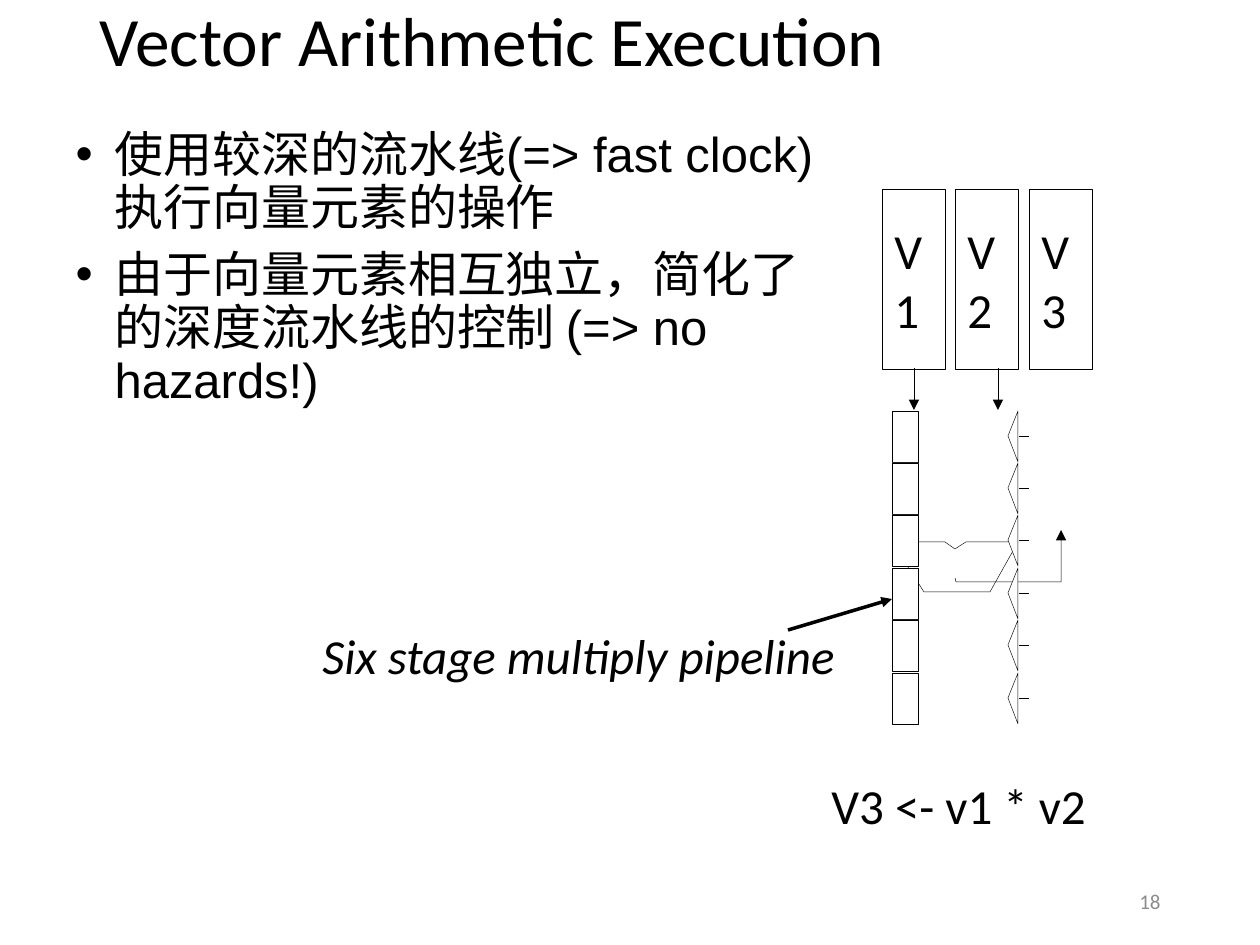
"""Build the vector arithmetic execution slide."""
from typing import NamedTuple

import pptx
import pptx.dml.color
import pptx.enum.shapes
import pptx.enum.text
import pptx.oxml
import pptx.oxml.ns
import pptx.util

SCALE = 914400 / 126
COLORS = {"ink": "000000", "paper": "FFFFFF", "number": "8C8C8C"}
ANCHOR = pptx.enum.text.MSO_ANCHOR
ALIGN = pptx.enum.text.PP_ALIGN
RECT = pptx.enum.shapes.MSO_SHAPE.RECTANGLE


class Box(NamedTuple):
    x: int
    y: int
    w: int
    h: int


class Arrow(NamedTuple):
    x1: int
    y1: int
    x2: int
    y2: int
    width: float


class Register(NamedTuple):
    name: str
    x: int


REGISTERS = [Register("V1", 882), Register("V2", 955), Register("V3", 1029)]
ARROWS = [
    Arrow(998, 368, 998, 410, 0.25),
    Arrow(914, 368, 914, 410, 0.25),
    Arrow(788, 630, 892, 599, 2),
]
FUNNEL = [(892, 542), (924, 592), (990, 592), (1018, 542), (966, 542), (955, 549), (945, 542)]
RESULT_PATH = [(955, 578), (956, 582), (1061, 582), (1061, 530)]
BULLETS = [
    "使用较深的流水线(=> fast clock) 执行向量元素的操作",
    "由于向量元素相互独立，简化了的深度流水线的控制 (=> no hazards!)",
]
STAGES = 6


def px(n: float) -> int:
    return round(n * SCALE)


def rgb(name: str) -> pptx.dml.color.RGBColor:
    return pptx.dml.color.RGBColor.from_string(COLORS[name])


def place(sp, box: Box) -> None:
    sp.left, sp.top, sp.width, sp.height = map(px, box)


def write(sp, *texts: str, size=28, font="Calibri", color="ink", italic=None, align=ALIGN.LEFT,
          anchor=ANCHOR.MIDDLE, wrap=True, grow=False, spacing=None, before=0, indent=0) -> None:
    tf = sp.text_frame
    tf.word_wrap, tf.vertical_anchor = wrap, anchor
    sizing = pptx.enum.text.MSO_AUTO_SIZE
    tf.auto_size = sizing.SHAPE_TO_FIT_TEXT if grow else sizing.NONE
    for i, text in enumerate(texts):
        p = tf.paragraphs[0] if i == 0 else tf.add_paragraph()
        p.text = text
        p.alignment, p.line_spacing = align, spacing
        p.space_before = pptx.util.Pt(before)
        if indent:
            pPr = p._p.get_or_add_pPr()
            pPr.set("marL", str(px(indent)))
            pPr.set("indent", str(-px(indent)))
            pptx.oxml.ns.qn
            bullet = pPr.makeelement(pptx.oxml.ns.qn("a:buChar"), {"char": "•"})
            pPr.append(bullet)
        for r in p.runs:
            r.font.size, r.font.name = pptx.util.Pt(size), font
            r.font.italic = italic
            r.font.color.rgb = rgb(color)
        p._p.get_or_add_endParaRPr().set("sz", str(round(size * 100)))


def add_text(s, box: Box, text: str, **fmt) -> None:
    write(s.shapes.add_textbox(*map(px, box)), text, **fmt)


def outline(sp, fill: str | None = None) -> None:
    sp.shadow.inherit = False
    if fill:
        sp.fill.solid()
        sp.fill.fore_color.rgb = rgb(fill)
    else:
        sp.fill.background()
    sp.line.color.rgb = rgb("ink")
    sp.line.width = pptx.util.Pt(0.25)


def add_rect(shapes, box: Box, fill: str | None = None):
    sp = shapes.add_shape(RECT, *map(px, box))
    outline(sp, fill)
    return sp


def add_path(shapes, points: list[tuple[int, int]], close=True, fill: str | None = None):
    builder = shapes.build_freeform(*points[0], scale=SCALE)
    builder.add_line_segments(points[1:], close=close)
    sp = builder.convert_to_shape()
    outline(sp, fill)
    return sp


def add_head(sp) -> None:
    ln = sp.line._get_or_add_ln()
    ln.append(ln.makeelement(pptx.oxml.ns.qn("a:tailEnd"), {"type": "triangle"}))


def add_line(shapes, line: Arrow):
    sp = shapes.add_connector(pptx.enum.shapes.MSO_CONNECTOR.STRAIGHT, *map(px, line[:4]))
    sp.line.color.rgb = rgb("ink")
    sp.line.width = pptx.util.Pt(line.width)
    spPr = sp._element.spPr
    spPr.append(spPr.makeelement(pptx.oxml.ns.qn("a:effectLst"), {}))
    return sp


def add_stage(s, y: int) -> None:
    shapes = s.shapes.add_group_shape().shapes
    add_rect(shapes, Box(892, y, 26, 51), "paper")
    add_path(shapes, [(1018, y + 51), (1008, y + 25), (1018, y)], fill="paper")
    add_line(shapes, Arrow(1019, y + 25, 1029, y + 25, 0.25))


def main() -> None:
    prs = pptx.Presentation()
    prs.slide_width, prs.slide_height = px(1260), px(945)
    s = prs.slides.add_slide(prs.slide_layouts[1])
    title, body = s.shapes.title, s.placeholders[1]
    place(title, Box(87, 50, 1086, 72))
    write(title, "Vector Arithmetic Execution\v", size=39.6, spacing=0.9)
    place(body, Box(63, 121, 766, 297))
    write(body, *BULLETS, font="Arial", grow=True, spacing=0.9, before=8, indent=39)
    add_text(s, Box(890, 876, 283, 50), "18", size=12, color="number", align=ALIGN.RIGHT)

    add_path(s.shapes, FUNNEL)
    add_head(add_path(s.shapes, RESULT_PATH, close=False))
    for i in range(STAGES):
        add_stage(s, 411 + 262 * i // 5)
    for register in REGISTERS:
        write(add_rect(s.shapes, Box(register.x, 189, 63, 180)), register.name)
    for arrow in ARROWS:
        add_head(add_line(s.shapes, arrow))
    add_text(s, Box(819, 769, 282, 72), "V3 <- v1 * v2", wrap=False, grow=True)
    add_text(s, Box(310, 619, 557, 72), "Six stage multiply pipeline", italic=True,
             anchor=ANCHOR.TOP, wrap=False, grow=True)
    prs.save("out.pptx")


if __name__ == "__main__":
    main()
